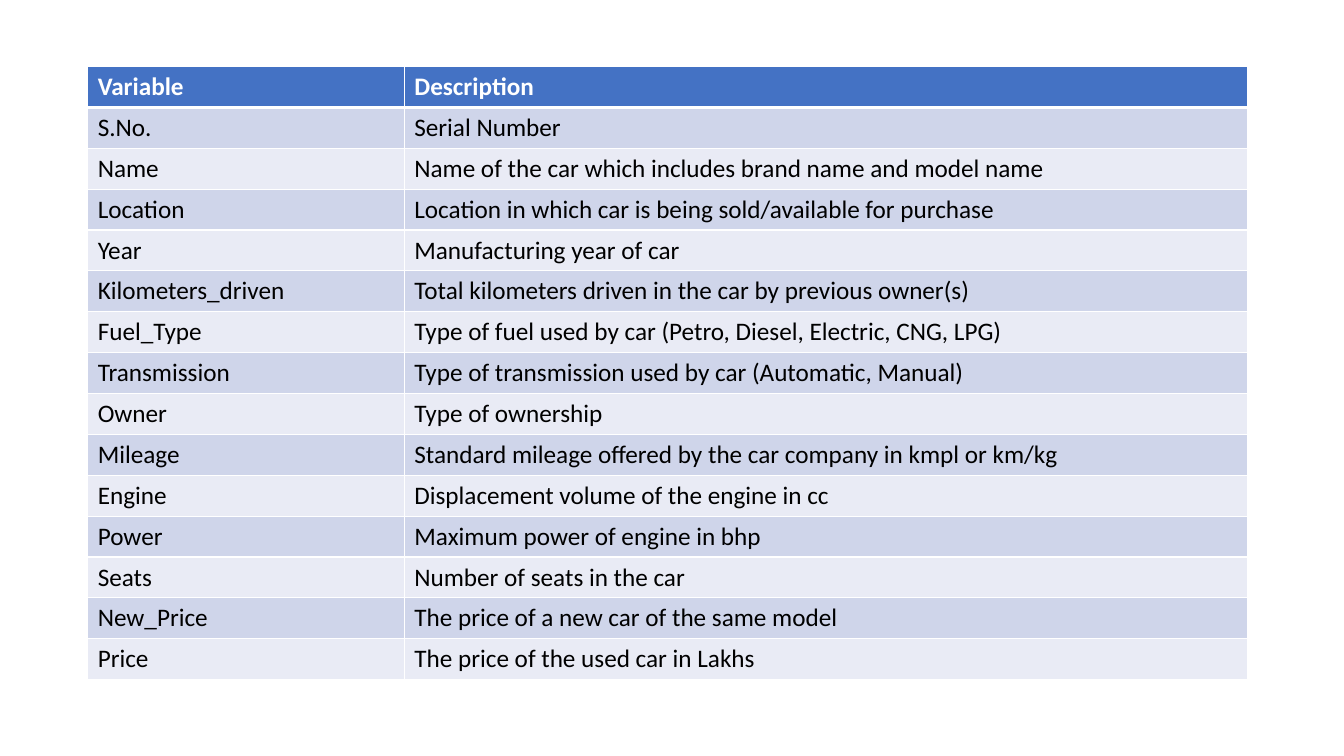
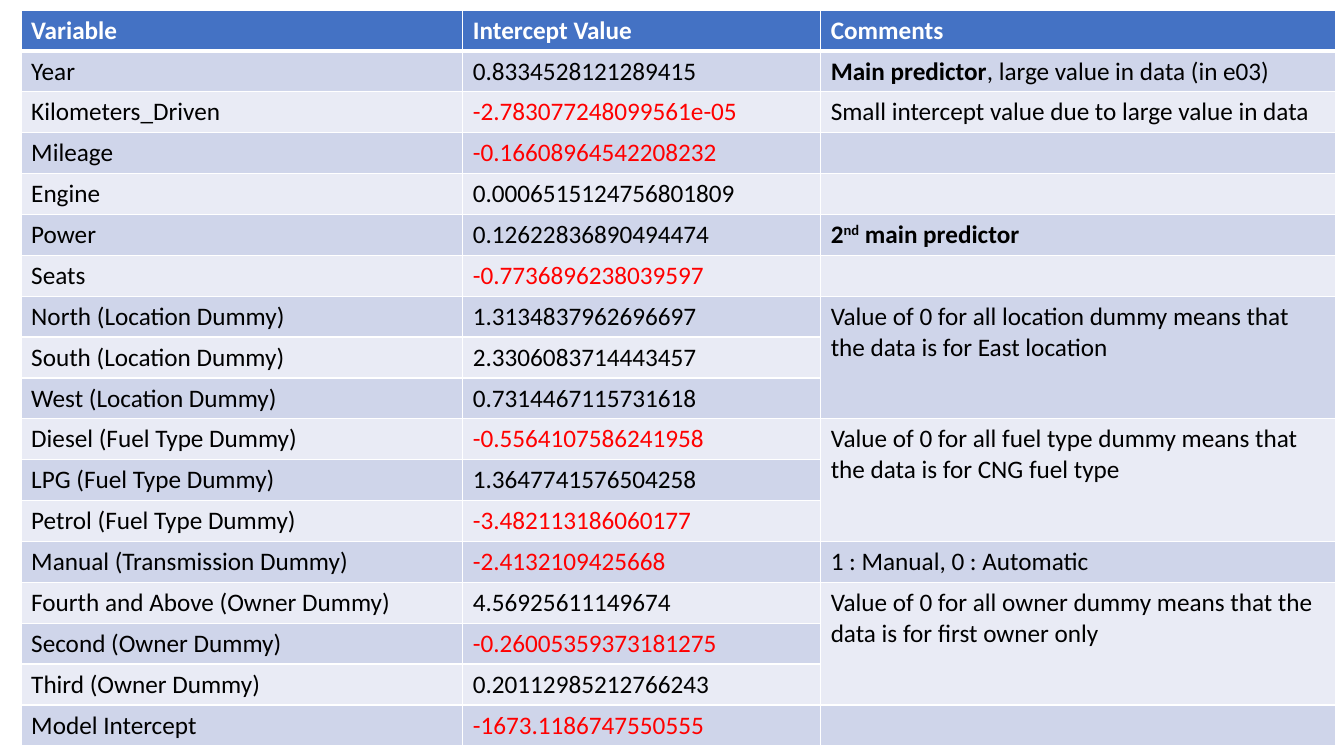
from lxml import etree
from pptx import Presentation
from pptx.dml.color import RGBColor
from pptx.oxml.ns import qn
from pptx.util import Inches, Pt

FONT = "Calibri"
TEXT_SIZE = 18
WHITE = "FFFFFF"
BLACK = "000000"
NEGATIVE_RED = "FF0000"
HEADER_BLUE = "4472C4"
BANDS = ("CFD5EA", "E9EBF5")
THIN, THICK = 1, 3
BLANK_LAYOUT = 6
MERGED = None

VARIABLES = [
    ("Variable", "Description"),
    ("S.No.", "Serial Number"),
    ("Name", "Name of the car which includes brand name and model name"),
    ("Location", "Location in which car is being sold/available for purchase"),
    ("Year", "Manufacturing year of car"),
    ("Kilometers_driven", "Total kilometers driven in the car by previous owner(s)"),
    ("Fuel_Type", "Type of fuel used by car (Petro, Diesel, Electric, CNG, LPG)"),
    ("Transmission", "Type of transmission used by car (Automatic, Manual)"),
    ("Owner", "Type of ownership"),
    ("Mileage", "Standard mileage offered by the car company in kmpl or km/kg"),
    ("Engine", "Displacement volume of the engine in cc"),
    ("Power", "Maximum power of engine in bhp"),
    ("Seats", "Number of seats in the car"),
    ("New_Price", "The price of a new car of the same model"),
    ("Price", "The price of the used car in Lakhs"),
]

MAIN_PREDICTOR = [("Main predictor", "bold"), (", large value in data (in e03)", "")]
SECOND_PREDICTOR = [("2", "bold"), ("nd", "bold super"), (" main predictor", "bold")]

INTERCEPTS = [
    ("Variable", "Intercept Value", "Comments"),
    ("Year", "0.8334528121289415", MAIN_PREDICTOR),
    ("Kilometers_Driven", "-2.783077248099561e-05",
     "Small intercept value due to large value in data"),
    ("Mileage", "-0.16608964542208232", ""),
    ("Engine", "0.0006515124756801809", ""),
    ("Power", "0.12622836890494474", SECOND_PREDICTOR),
    ("Seats", "-0.7736896238039597", ""),
    ("North (Location Dummy)", "1.3134837962696697",
     "Value of 0 for all location dummy means that the data is for East location"),
    ("South (Location Dummy)", "2.3306083714443457", MERGED),
    ("West (Location Dummy)", "0.7314467115731618", MERGED),
    ("Diesel (Fuel Type Dummy)", "-0.5564107586241958",
     "Value of 0 for all fuel type dummy means that the data is for CNG fuel type"),
    ("LPG (Fuel Type Dummy)", "1.3647741576504258", MERGED),
    ("Petrol (Fuel Type Dummy)", "-3.482113186060177", MERGED),
    ("Manual (Transmission Dummy)", "-2.4132109425668", "1 : Manual, 0 : Automatic"),
    ("Fourth and Above (Owner Dummy)", "4.56925611149674",
     "Value of 0 for all owner dummy means that the data is for first owner only"),
    ("Second (Owner Dummy)", "-0.26005359373181275", MERGED),
    ("Third (Owner Dummy)", "0.20112985212766243", MERGED),
    ("Model Intercept", "-1673.1186747550555", ""),
]


def color(value):
    return RGBColor.from_string(value)


def set_borders(cell, top, bottom):
    properties = cell._tc.get_or_add_tcPr()
    widths = {"a:lnL": THIN, "a:lnR": THIN, "a:lnT": top, "a:lnB": bottom}
    for position, (side, width) in enumerate(widths.items()):
        line = etree.Element(qn(side), w=str(Pt(width)))
        fill = etree.SubElement(line, qn("a:solidFill"))
        etree.SubElement(fill, qn("a:srgbClr"), val=WHITE)
        properties.insert(position, line)


def add_span(para, text, style, text_color):
    span = para.add_run()
    span.text = text
    span.font.name = FONT
    span.font.size = Pt(TEXT_SIZE)
    span.font.bold = "bold" in style
    span.font.color.rgb = color(text_color)
    if "super" in style:
        span._r.get_or_add_rPr().set("baseline", "30000")


def write_cell(cell, content, is_header):
    if not content:
        return
    spans = content
    if isinstance(content, str):
        spans = [(content, "bold" if is_header else "")]
    for text, style in spans:
        text_color = BLACK
        if is_header:
            text_color = WHITE
        elif text.startswith("-"):
            text_color = NEGATIVE_RED
        add_span(cell.text_frame.paragraphs[0], text, style, text_color)


def merge_down(table, rows, column):
    start = 0
    for index in range(1, len(rows) + 1):
        if index < len(rows) and rows[index][column] is MERGED:
            continue
        if index - start > 1:
            table.cell(start, column).merge(table.cell(index - 1, column))
        start = index


def add_table_slide(deck, rows, left, top, widths, height):
    page = deck.slides.add_slide(deck.slide_layouts[BLANK_LAYOUT])
    frame = page.shapes.add_table(len(rows), len(widths), Inches(left), Inches(top),
                                  Inches(sum(widths)), Inches(height))
    table = frame.table
    for column, width in zip(table.columns, widths):
        column.width = Inches(width)
    for row_index, row in enumerate(rows):
        is_header = row_index == 0
        fill = HEADER_BLUE if is_header else BANDS[(row_index - 1) % 2]
        for column_index, content in enumerate(row):
            cell = table.cell(row_index, column_index)
            cell.fill.solid()
            cell.fill.fore_color.rgb = color(fill)
            set_borders(cell, THICK if row_index == 1 else THIN,
                        THICK if is_header else THIN)
            write_cell(cell, content, is_header)
    for column_index in range(len(widths)):
        merge_down(table, rows, column_index)


def main():
    deck = Presentation()
    deck.slide_width = Inches(13.33)
    deck.slide_height = Inches(7.5)
    add_table_slide(deck, VARIABLES, 0.87, 0.66, (3.14, 8.36), 6.08)
    add_table_slide(deck, INTERCEPTS, 0.21, 0.1, (4.38, 3.55, 5.11), 7.3)
    deck.save("out.pptx")


if __name__ == "__main__":
    main()
